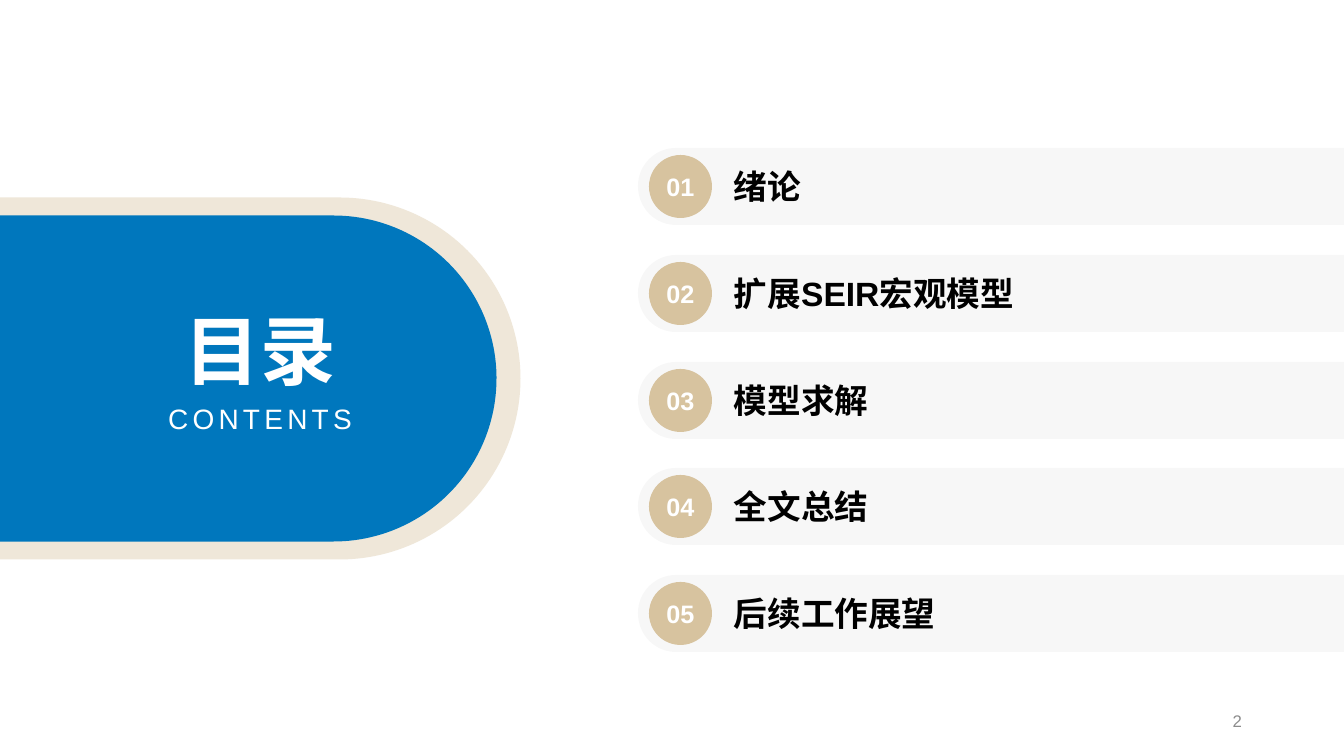
from lxml import etree
from pptx import Presentation, util as u
from pptx.dml.color import RGBColor
from pptx.enum import shapes, text
from pptx.oxml.ns import qn

SCALE = 914400 / 100.8
GREY_ALPHA = "3000"


def px(n):
    return u.Emu(round(n * SCALE))


def style(shape, words="", size=12, color="FFFFFF", bold=False, fill=None,
          align=text.PP_ALIGN.CENTER, inset=None):
    """Paint a shape and write its text."""
    if fill:
        shape.shadow.inherit = False
        shape.fill.solid()
        shape.fill.fore_color.rgb = RGBColor.from_string(fill)
        shape.line.fill.background()
    frame = shape.text_frame
    if inset:
        (frame.margin_left, frame.margin_top,
         frame.margin_right, frame.margin_bottom) = map(px, inset)
    frame.vertical_anchor = text.MSO_ANCHOR.MIDDLE
    para = frame.paragraphs[0]
    para.alignment = align
    if words:
        para.add_run().text = words
        font = para.font
        font.name, font.size, font.bold = "Arial", u.Pt(size), bold
        font.color.rgb = RGBColor.from_string(color)


deck = Presentation()
deck.slide_width, deck.slide_height = px(1344), px(756)
slide = deck.slides.add_slide(deck.slide_layouts[6])
parts = slide.shapes

# Title tab: two half-pills from the left edge, turned a quarter
for wide, high, fill in [(521, 362, "EFE7D9"), (497, 326, "0077BD")]:
    tab = parts.add_shape(shapes.MSO_SHAPE.ROUND_2_SAME_RECTANGLE,
                          px((wide - high) // 2), px(378 - wide // 2),
                          px(high), px(wide))
    tab.adjustments[0], tab.adjustments[1] = 0.5, 0
    tab.rotation = 90
    style(tab, fill=fill)

# Title text
for words, box, size, bold, gap in [
    ("CONTENTS", (155, 396, 210, 44), 20, False, 300),
    ("目录", (174, 298, 173, 102), 54, True, 0),
]:
    label = parts.add_textbox(*map(px, box))
    label.text_frame.word_wrap = False
    style(label, words, size, bold=bold)
    if gap:
        run = label.text_frame.paragraphs[0].runs[0]
        run.font._element.set("spc", str(gap))

# Chapter bars, each with a numbered dot
chapters = ["绪论", "扩展SEIR宏观模型", "模型求解", "全文总结", "后续工作展望"]
left, right, high = 638, 1344, 77
bend, mid = 17, 38
for i, name in enumerate(chapters):
    top = round(148 + 106.75 * i)
    end = top + high
    neck = left + mid
    pen = parts.build_freeform(px(neck), px(top))
    corners = [(right, top), (right, end), (neck, end)]
    curves = [(left + bend, end), (left, end - bend), (left, top + mid),
              (left, top + bend), (left + bend, top), (neck, top)]
    pen.add_line_segments([(px(x), px(y)) for x, y in corners + curves])
    bar = pen.convert_to_shape()

    # Join each three points of the round end into one curve
    lines = list(bar._element.iter(qn("a:lnTo")))[3:9]
    for k in (0, 3):
        curve = etree.Element(qn("a:cubicBezTo"))
        lines[k].addprevious(curve)
        for line in lines[k:k + 3]:
            curve.append(line[0])
            line.getparent().remove(line)

    style(bar, name, 24, "000000", True, "000000",
          text.PP_ALIGN.LEFT, (96, 5, 10, 5))
    tint = bar._element.spPr.find(qn("a:solidFill"))[0]
    etree.SubElement(tint, qn("a:alpha")).set("val", GREY_ALPHA)

    dot = parts.add_shape(shapes.MSO_SHAPE.ROUNDED_RECTANGLE,
                          px(649), px(top + 7), px(63), px(63))
    dot.adjustments[0] = 0.5
    style(dot, f"{i + 1:02}", 18, bold=True, fill="D7C39F",
          inset=(0, 0, 0, 0))

# Page number
page = parts.add_textbox(px(950), px(701), px(302), px(40))
page.text_frame.word_wrap = True
style(page, "2", 12, "8C8C8C", align=text.PP_ALIGN.RIGHT)

deck.save("out.pptx")
